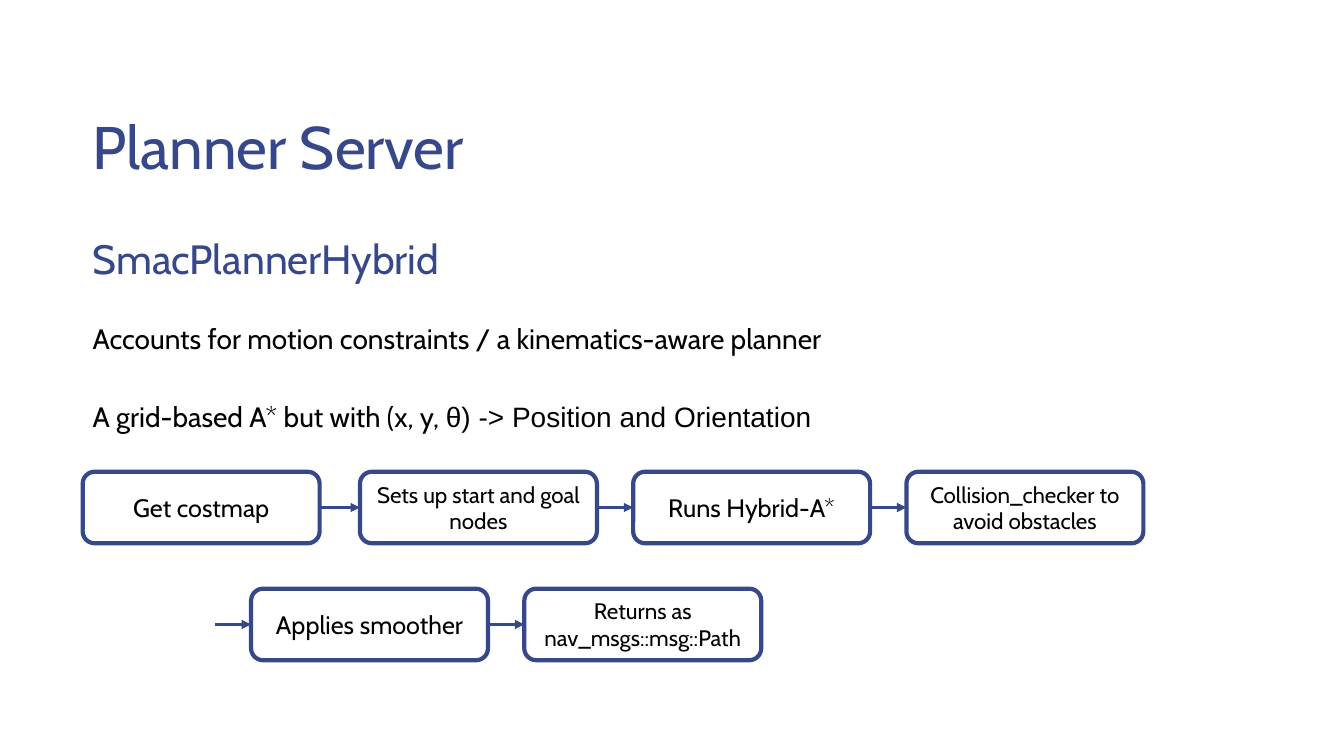
from lxml import etree
from pptx import Presentation
from pptx.dml.color import RGBColor
from pptx.enum.shapes import MSO_CONNECTOR, MSO_SHAPE
from pptx.enum.text import MSO_ANCHOR as Anchor, PP_ALIGN as Align
from pptx.oxml.ns import qn
from pptx.util import Inches, Pt

BLUE = RGBColor(0x36, 0x48, 0x8A)
BLACK = RGBColor(0, 0, 0)
STEP_WIDTH, STEP_HEIGHT = 2.35, 0.71
ARROW_LENGTH = 0.36
LEFT_SITE, RIGHT_SITE = 1, 3

FIRST_ROW = [
    (0.82, "Get costmap", 18),
    (3.57, "Sets up start and goal nodes", 16),
    (6.28, "Runs Hybrid-A*", 18),
    (8.99, "Collision_checker to avoid obstacles", 16),
]
SECOND_ROW = [
    (2.49, "Applies smoother", 18),
    (5.2, "Returns as nav_msgs::msg::Path", 16),
]


def write(frame, *runs, size, color=BLACK, align=Align.LEFT,
          anchor=Anchor.TOP, spacing=1.0):
    """Fill a text frame with one paragraph of (text, font name) runs."""
    frame.word_wrap = True
    frame.vertical_anchor = anchor
    paragraph = frame.paragraphs[0]
    paragraph.alignment = align
    paragraph.line_spacing = spacing
    for text, font_name in runs:
        run = paragraph.add_run()
        run.text = text
        run.font.name = font_name
        run.font.size = Pt(size)
        run.font.color.rgb = color


def add_line_of_text(slide, top, height, *runs, **text_format):
    box = slide.shapes.add_textbox(
        Inches(0.82), Inches(top), Inches(8.49), Inches(height))
    write(box.text_frame, *runs, **text_format)


def add_step(slide, left, top, label, size):
    step = slide.shapes.add_shape(
        MSO_SHAPE.ROUNDED_RECTANGLE, Inches(left), Inches(top),
        Inches(STEP_WIDTH), Inches(STEP_HEIGHT))
    step.shadow.inherit = False
    step.fill.background()
    step.line.color.rgb = BLUE
    step.line.width = Pt(3)
    frame = step.text_frame
    frame.margin_left = frame.margin_right = Inches(0.07)
    frame.margin_top = frame.margin_bottom = 0
    write(frame, (label, "Cabin"), size=size, align=Align.CENTER,
          anchor=Anchor.MIDDLE)
    return step


def add_arrow(slide, target, source=None):
    """Point at the target step, from the source step or from open space."""
    y = target.top + target.height // 2
    arrow = slide.shapes.add_connector(
        MSO_CONNECTOR.STRAIGHT, target.left - Inches(ARROW_LENGTH), y,
        target.left, y)
    if source is not None:
        arrow.begin_connect(source, RIGHT_SITE)
    arrow.end_connect(target, LEFT_SITE)
    arrow.line.color.rgb = BLUE
    arrow.line.width = Pt(2.25)
    etree.SubElement(arrow.line._get_or_add_ln(), qn("a:tailEnd"),
                     type="triangle")
    etree.SubElement(arrow._element.spPr, qn("a:effectLst"))


def add_step_row(slide, top, steps):
    shapes = [add_step(slide, left, top, label, size)
              for left, label, size in steps]
    for source, target in zip(shapes, shapes[1:]):
        add_arrow(slide, target, source)
    return shapes


def main():
    deck = Presentation()
    deck.slide_width, deck.slide_height = Inches(13.33), Inches(7.5)
    slide = deck.slides.add_slide(deck.slide_layouts[6])

    heading = dict(color=BLUE, anchor=Anchor.MIDDLE, spacing=0.9)
    add_line_of_text(slide, 0.94, 1.1, ("Planner Server", "Cabin"),
                     size=42.9, **heading)
    add_line_of_text(slide, 2.04, 1.1, ("SmacPlannerHybrid", "Cabin"),
                     size=29.2, **heading)
    add_line_of_text(
        slide, 3.14, 0.44,
        ("Accounts for motion constraints / a kinematics-aware planner",
         "Cabin"), size=20)
    add_line_of_text(
        slide, 3.91, 0.44, ("A grid-based A* but with (x, y, ", "Cabin"),
        ("θ) -> Position and Orientation", "Arial"), size=20)

    add_step_row(slide, 4.68, FIRST_ROW)
    smoother, _ = add_step_row(slide, 5.84, SECOND_ROW)
    add_arrow(slide, smoother)
    deck.save("out.pptx")


if __name__ == "__main__":
    main()
